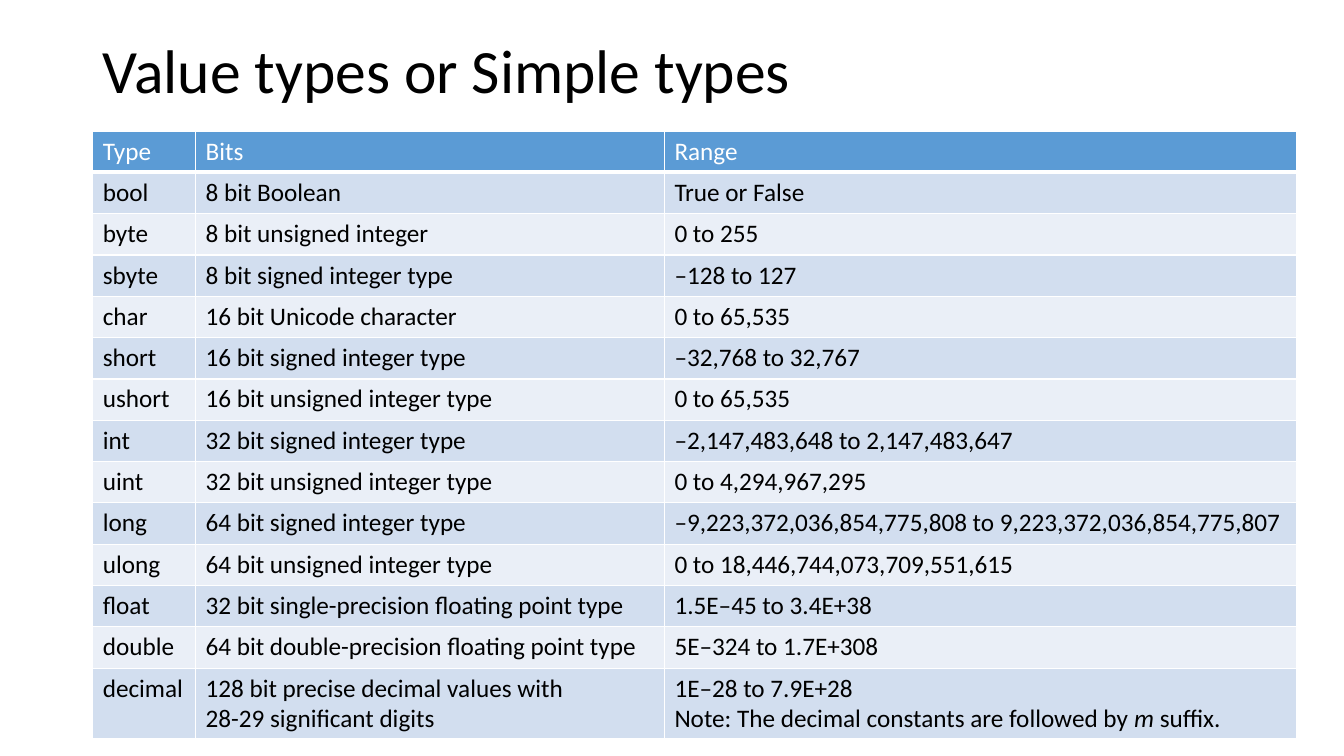
from lxml.etree import SubElement
from pptx import Presentation
from pptx.dml.color import RGBColor
from pptx.enum.text import MSO_ANCHOR
from pptx.oxml.ns import qn
from pptx.util import Inches, Pt

TITLE = "Value types or Simple types"
BREAK = "line break"
ITALIC_TEXT = "m "

# A cell is a string, or a list of paragraphs that are each a list of runs.
ROWS = [
    ("Type", "Bits", "Range"),
    ("bool", "8 bit Boolean", "True or False"),
    ("byte", "8 bit unsigned integer", "0 to 255"),
    ("sbyte", "8 bit signed integer type", "–128 to 127"),
    ("char", "16 bit Unicode character", "0 to 65,535"),
    ("short", "16 bit signed integer type", "–32,768 to 32,767"),
    ("ushort", "16 bit unsigned integer type", "0 to 65,535"),
    ("int", "32 bit signed integer type", "–2,147,483,648 to 2,147,483,647"),
    ("uint", "32 bit unsigned integer type", "0 to 4,294,967,295"),
    ("long", "64 bit signed integer type",
     "–9,223,372,036,854,775,808 to 9,223,372,036,854,775,807"),
    ("ulong", "64 bit unsigned integer type", "0 to 18,446,744,073,709,551,615"),
    ("float", "32 bit single-precision floating point type", "1.5E–45 to 3.4E+38"),
    ("double", "64 bit double-precision floating point type", "5E–324 to 1.7E+308"),
    ("decimal",
     [["128 bit precise decimal values with"], ["28-29 significant digits"]],
     [["1E–28 to 7.9E+28", BREAK, "Note: The decimal constants are followed by ",
       ITALIC_TEXT, "suffix."]]),
]

FONT = "Calibri"
BLACK = RGBColor(0x00, 0x00, 0x00)
WHITE = RGBColor(0xFF, 0xFF, 0xFF)
HEADER_BLUE = RGBColor(0x5B, 0x9B, 0xD5)
BANDS = (RGBColor(0xEA, 0xEF, 0xF7), RGBColor(0xD2, 0xDE, 0xEF))

LEFT = 0.92
TABLE_TOP = 1.3
COLUMN_WIDTHS = (1.02, 4.65, 6.27)
ROW_HEIGHT = 0.41


def add_span(para, text, size, color, italic=False):
    span = para.add_run()
    span.text = text
    span.font.name = FONT
    span.font.size = Pt(size)
    span.font.color.rgb = color
    span.font.bold = False
    span.font.italic = italic


def set_borders(cell, top, bottom):
    """Draw white cell borders; top and bottom are widths in points."""
    properties = cell._tc.get_or_add_tcPr()
    for side, width in (("L", 1), ("R", 1), ("T", top), ("B", bottom)):
        line = SubElement(properties, qn(f"a:ln{side}"), w=str(Pt(width)))
        fill = SubElement(line, qn("a:solidFill"))
        SubElement(fill, qn("a:srgbClr"), val=str(WHITE))


def fill_cell(cell, content, row_index):
    is_header = row_index == 0
    set_borders(cell, top=3 if row_index == 1 else 1, bottom=3 if is_header else 1)
    cell.fill.solid()
    cell.fill.fore_color.rgb = HEADER_BLUE if is_header else BANDS[row_index % 2]
    paragraphs = [[content]] if isinstance(content, str) else content
    for index, texts in enumerate(paragraphs):
        frame = cell.text_frame
        para = frame.add_paragraph() if index else frame.paragraphs[0]
        for text in texts:
            if text == BREAK:
                para.add_line_break()
            else:
                add_span(para, text, 18, WHITE if is_header else BLACK,
                         text == ITALIC_TEXT)


def add_title(page):
    box = page.shapes.add_textbox(Inches(LEFT), 0, Inches(11.5), Inches(1.45))
    frame = box.text_frame
    frame.word_wrap = True
    frame.vertical_anchor = MSO_ANCHOR.MIDDLE
    para = frame.paragraphs[0]
    para.line_spacing = 0.9
    add_span(para, TITLE, 44, BLACK)


def add_type_table(page):
    table = page.shapes.add_table(
        len(ROWS), len(COLUMN_WIDTHS), Inches(LEFT), Inches(TABLE_TOP),
        Inches(sum(COLUMN_WIDTHS)), Inches(ROW_HEIGHT * len(ROWS))).table
    for column, width in zip(table.columns, COLUMN_WIDTHS):
        column.width = Inches(width)
    for row_index, contents in enumerate(ROWS):
        table.rows[row_index].height = Inches(ROW_HEIGHT)
        for column_index, content in enumerate(contents):
            fill_cell(table.cell(row_index, column_index), content, row_index)


def main():
    deck = Presentation()
    deck.slide_width = Inches(13.33)
    deck.slide_height = Inches(7.5)
    page = deck.slides.add_slide(deck.slide_layouts[6])
    add_title(page)
    add_type_table(page)
    deck.save("out.pptx")


if __name__ == "__main__":
    main()
